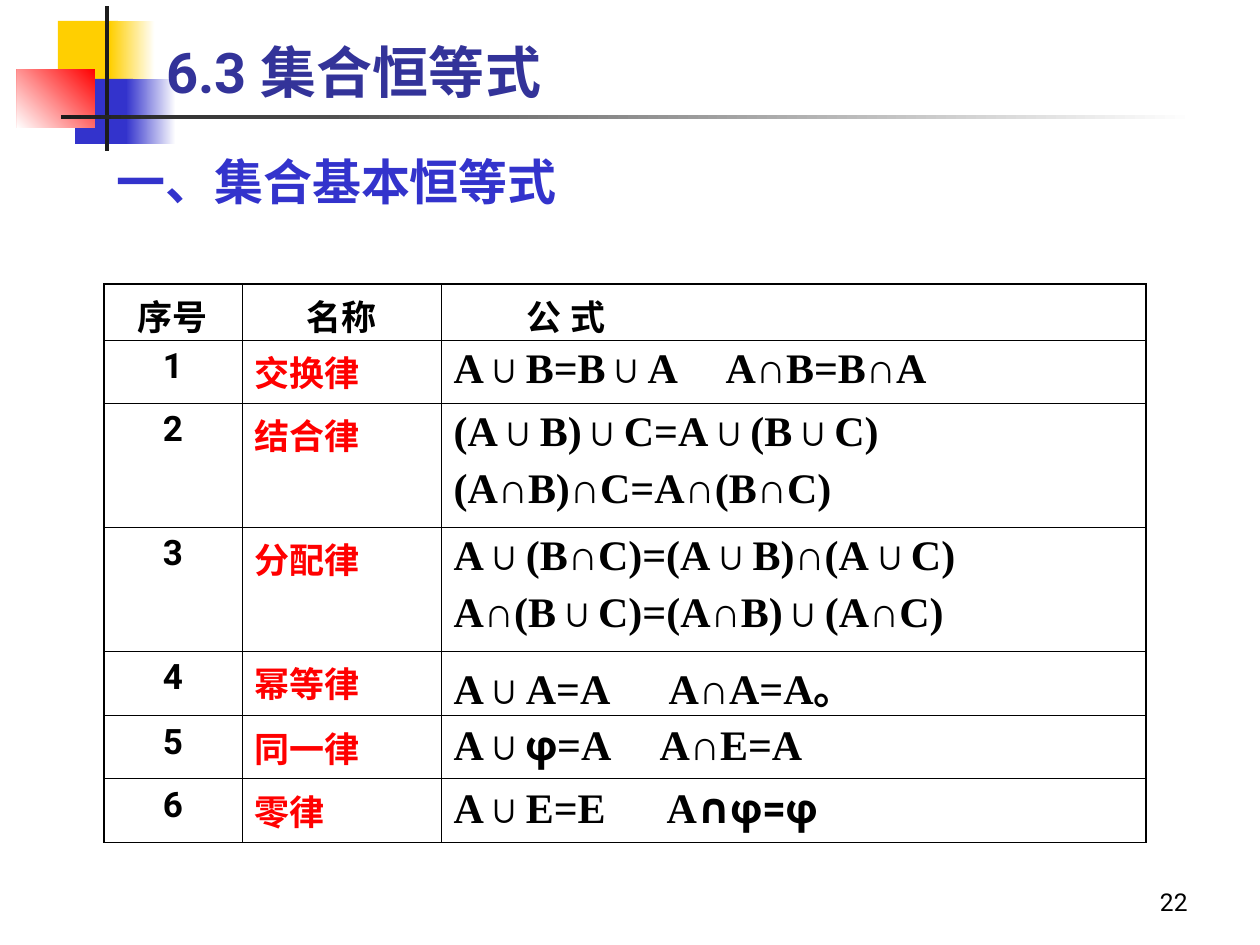
import pptx
import pptx.util
import pptx.dml.color
import pptx.enum.shapes
import pptx.enum.text
import pptx.oxml.ns
from lxml import etree

RGB = pptx.dml.color.RGBColor
YELLOW = RGB(0xFF, 0xCF, 0x01)
BLUE = RGB(0x33, 0x33, 0xCC)
NAVY = RGB(0x33, 0x33, 0x99)
RED = RGB(0xFF, 0x00, 0x00)
INK = RGB(0x1C, 0x1C, 0x1C)
BLACK = RGB(0x00, 0x00, 0x00)
WHITE = RGB(0xFF, 0xFF, 0xFF)

SANS, SERIF = "Roboto", "Times New Roman"
LEFT, CENTER, RIGHT = (getattr(pptx.enum.text.PP_ALIGN, a) for a in ("LEFT", "CENTER", "RIGHT"))
ANCHOR = pptx.enum.text.MSO_ANCHOR
THIN, THICK = 0.45, 1.08


def px(n):
    return pptx.util.Emu(round(n * 914400 / 126))


def add_child(parent, tag, **attrs):
    return etree.SubElement(parent, pptx.oxml.ns.qn(tag), {k: str(v) for k, v in attrs.items()})


def write(tf, lines, size=20, font=SANS, color=BLACK, bold=True, align=LEFT,
          before=0, tab=0, indent=0):
    """Fill a text frame; a line is a string or a list of (text, font) pairs."""
    for i, line in enumerate(lines):
        p = tf.paragraphs[0] if i == 0 else tf.add_paragraph()
        pPr = p._p.get_or_add_pPr()
        if tab:
            add_child(add_child(pPr, "a:tabLst"), "a:tab", pos=px(tab), algn="l")
        if indent:
            pPr.set("marL", str(px(indent)))
            pPr.set("indent", "0")
        p.alignment = align
        if before and i > 0:
            p.space_before = pptx.util.Pt(before)
        for text, face in [(line, font)] if isinstance(line, str) else line:
            r = p.add_run()
            r.text = text
            r.font.size = pptx.util.Pt(size)
            r.font.bold = bold
            r.font.color.rgb = color
            r.font.name = face
            add_child(r._r.get_or_add_rPr(), "a:ea", typeface=SANS)


class Slide:
    def __init__(self, prs):
        self.s = prs.slides.add_slide(prs.slide_layouts[6])

    def block(self, x, y, w, h, color, fade_to=None, angle=180):
        """Rectangle in one colour, or a gradient from color to fade_to."""
        sp = self.s.shapes.add_shape(pptx.enum.shapes.MSO_SHAPE.RECTANGLE,
                                     px(x), px(y), px(w), px(h))
        sp.shadow.inherit = False
        sp.line.fill.background()
        if fade_to is None:
            sp.fill.solid()
            sp.fill.fore_color.rgb = color
            return
        sp.fill.gradient()
        sp.fill.gradient_angle = angle
        for stop, rgb, at in zip(sp.fill.gradient_stops, (color, fade_to), (0, 1)):
            stop.color.rgb = rgb
            stop.position = at

    def text(self, x, y, w, h, text, anchor=ANCHOR.MIDDLE, **fmt):
        tf = self.s.shapes.add_textbox(px(x), px(y), px(w), px(h)).text_frame
        tf.word_wrap = True
        tf.vertical_anchor = anchor
        write(tf, [text], **fmt)

    def table(self, x, y, widths, heights):
        t = self.s.shapes.add_table(len(heights), len(widths), px(x), px(y),
                                    px(sum(widths)), px(sum(heights))).table
        t.first_row = t.horz_banding = False
        for col, w in zip(t.columns, widths):
            col.width = px(w)
        for row, h in zip(t.rows, heights):
            row.height = px(h)
        last_row, last_col = len(heights) - 1, len(widths) - 1
        for i in range(len(heights)):
            for j in range(len(widths)):
                outer = {"L": j == 0, "R": j == last_col, "T": i == 0, "B": i == last_row}
                self.borders(t.cell(i, j), outer)
        return t

    def borders(self, cell, outer):
        tcPr = cell._tc.get_or_add_tcPr()
        for side, is_outer in outer.items():
            width = pptx.util.Pt(THICK if is_outer else THIN)
            ln = add_child(tcPr, "a:ln" + side, w=int(width))
            add_child(add_child(ln, "a:solidFill"), "a:srgbClr", val=BLACK)
        cell.fill.background()

    def cell(self, cell, lines, lowered=False, **fmt):
        """Write a cell; lowered sets its text further from the top border."""
        if lowered:
            cell.margin_top, cell.margin_bottom = px(14), 0
        write(cell.text_frame, lines, **fmt)


# name, formula lines, tab stop of the second formula, row height
LAWS = [
    ("交换律", ["A∪B=B∪A\tA∩B=B∩A"], 272, 63),
    ("结合律", ["(A∪B)∪C=A∪(B∪C)", "(A∩B)∩C=A∩(B∩C)"], 0, 124),
    ("分配律", ["A∪(B∩C)=(A∪B)∩(A∪C)", "A∩(B∪C)=(A∩B)∪(A∩C)"], 0, 124),
    ("幂等律", ["A∪A=A\tA∩A=A。"], 215, 64),
    ("同一律", [[("A∪", SERIF), ("φ", SANS), ("=A\tA∩E=A", SERIF)]], 206, 63),
    ("零律", [[("A∪E=E\tA", SERIF), ("∩φ=φ", SANS)]], 213, 64),
]


def main():
    prs = pptx.Presentation()
    prs.slide_width, prs.slide_height = px(1260), px(945)
    slide = Slide(prs)

    # Corner ornament and rule
    slide.block(58, 21, 60, 66, YELLOW)
    slide.block(110, 21, 45, 66, WHITE, fade_to=YELLOW)
    slide.block(75, 79, 58, 65, BLUE)
    slide.block(126, 79, 50, 65, WHITE, fade_to=BLUE)
    slide.block(17, 69, 78, 59, RED, fade_to=WHITE, angle=225)
    slide.block(105, 6, 4, 145, INK)
    slide.block(61, 115, 1134, 4, WHITE, fade_to=INK)

    # Headings
    slide.text(154, 27, 543, 89, "6.3 集合恒等式", size=32, color=NAVY)
    slide.text(104, 145, 560, 72, "一、集合基本恒等式", size=28, color=BLUE)

    # Table of identities
    t = slide.table(104, 284, [138, 199, 705], [55] + [law[-1] for law in LAWS])
    slide.cell(t.cell(0, 0), ["序号"], lowered=True, align=CENTER)
    slide.cell(t.cell(0, 1), ["名称"], lowered=True, align=CENTER)
    slide.cell(t.cell(0, 2), ["公 式"], lowered=True, indent=73)
    for i, (name, formulas, tab, _) in enumerate(LAWS, 1):
        slide.cell(t.cell(i, 0), [str(i)], align=CENTER)
        slide.cell(t.cell(i, 1), [name], lowered=True, color=RED)
        slide.cell(t.cell(i, 2), formulas, lowered="。" in formulas[0],
                   size=24, font=SERIF, before=6, tab=tab)

    # Page number
    slide.text(938, 860, 262, 63, "22", anchor=ANCHOR.BOTTOM, size=14, bold=False, align=RIGHT)

    prs.save("out.pptx")


if __name__ == "__main__":
    main()
